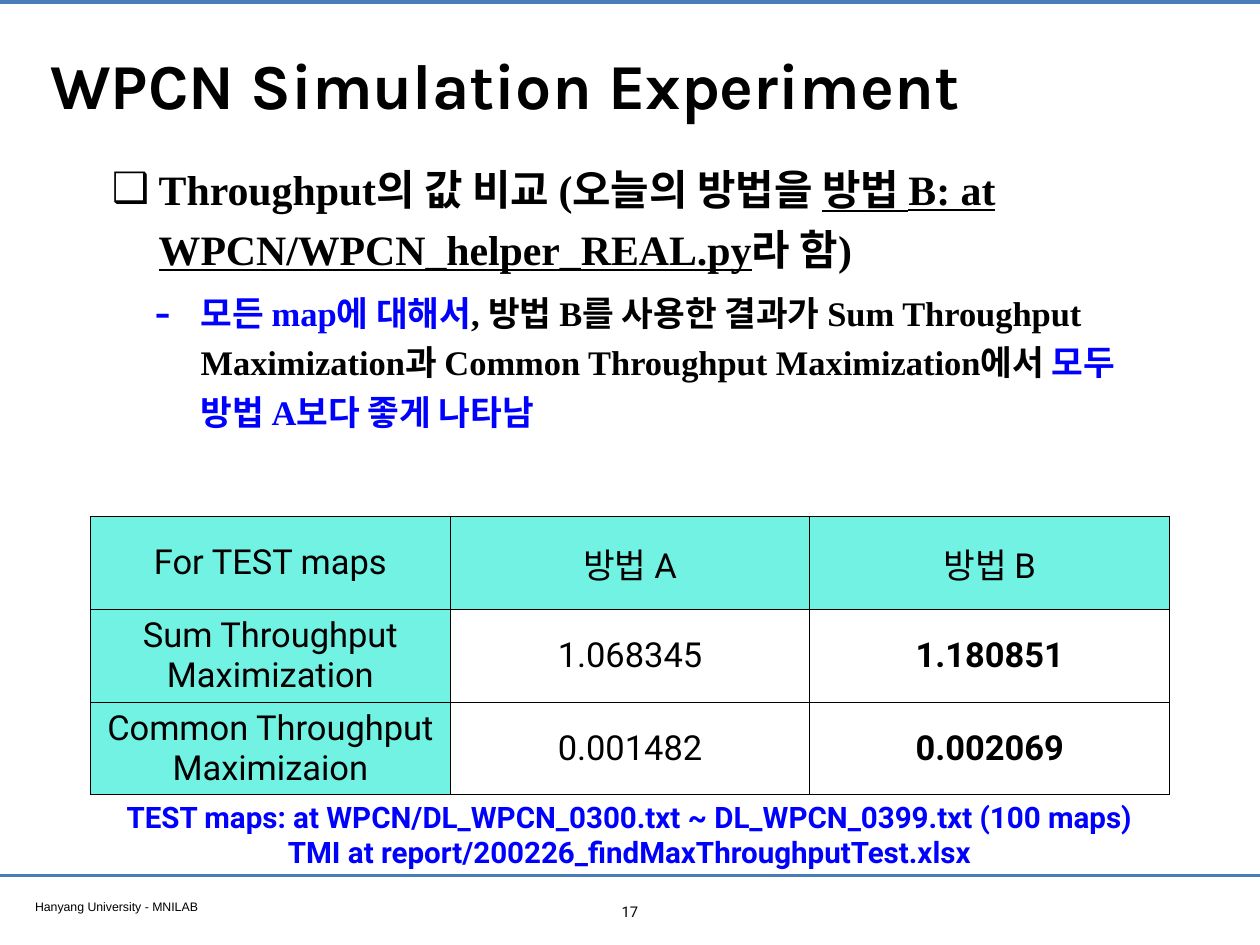
from dataclasses import dataclass

from lxml.etree import SubElement
from pptx import Presentation
from pptx.dml.color import RGBColor
from pptx.enum.shapes import MSO_CONNECTOR as Connector
from pptx.enum.text import MSO_ANCHOR as Anchor, PP_ALIGN as Align
from pptx.oxml import parse_xml
from pptx.oxml.ns import nsdecls, qn
from pptx.util import Pt

WIDTH, HEIGHT = 1024, 768


@dataclass(frozen=True)
class Theme:
    black = RGBColor.from_string("000000")
    blue = RGBColor.from_string("0000FF")
    rule = RGBColor.from_string("4A7EBB")
    header = RGBColor.from_string("72F2E3")
    title_font, body_font = "Karla", "Times New Roman"
    label_font, footer_font = "Roboto", "Arial"
    title_size, point_size, detail_size = 52, 34, 28
    table_size, caption_size, number_size, footer_size = 28, 24, 12, 10


THEME = Theme()


def style(font, name, size, bold=False, color=THEME.black):
    font.name, font.size, font.bold = name, Pt(size), bold
    font.color.rgb = color


def add_text_frame(slide, box, anchor=Anchor.TOP, wrap=True):
    frame = slide.shapes.add_textbox(*map(Pt, box)).text_frame
    frame.word_wrap, frame.vertical_anchor = wrap, anchor
    frame.margin_left = frame.margin_right = Pt(4.5)
    frame.margin_top = frame.margin_bottom = Pt(4.5)
    return frame


def add_label(slide, box, lines, name, size, bold=False, color=THEME.black,
              align=Align.LEFT, anchor=Anchor.TOP, wrap=True):
    """Add a text box in which every line is a paragraph of the same style."""
    frame = add_text_frame(slide, box, anchor, wrap)
    frame.text = "\n".join(lines)
    for paragraph in frame.paragraphs:
        paragraph.alignment = align
        style(paragraph.font, name, size, bold, color)


def add_rule(slide, y, weight):
    line = slide.shapes.add_connector(Connector.STRAIGHT, 0, Pt(y), Pt(WIDTH), Pt(y))
    line.line.color.rgb, line.line.width = THEME.rule, Pt(weight)
    SubElement(line._element.spPr, qn("a:effectLst"))


def set_bullet(paragraph, character, color, percent, left, hanging):
    properties = paragraph._p.get_or_add_pPr()
    properties.set("marL", str(Pt(left)))
    properties.set("indent", str(-Pt(hanging)))
    bullet_color = SubElement(properties, qn("a:buClr"))
    SubElement(bullet_color, qn("a:srgbClr"), val=str(color))
    SubElement(properties, qn("a:buSzPct"), val=str(percent * 1000))
    SubElement(properties, qn("a:buFont"), typeface=THEME.footer_font)
    SubElement(properties, qn("a:buChar"), char=character)


def add_findings(slide, box):
    frame = add_text_frame(slide, box)
    point, detail = frame.paragraphs[0], frame.add_paragraph()
    detail.level, detail.space_before = 1, Pt(8)
    point.line_spacing = detail.line_spacing = 1.2
    set_bullet(point, "❑", THEME.black, 100, 38, 38)
    set_bullet(detail, "-", THEME.blue, 145, 72, 37.5)
    style(point.font, THEME.body_font, THEME.point_size, True)
    style(detail.font, THEME.body_font, THEME.detail_size, True)

    for text, underline in (
        ("Throughput의 값 비교 (오늘의 방법을 ", False),
        ("방법 B: at WPCN/WPCN_helper_REAL.py", True),
        ("라 함)", False),
    ):
        run = point.add_run()
        run.text, run.font.underline = text, underline

    for text, color in (
        ("모든 map에 대해서", THEME.blue),
        (", 방법 B를 사용한 결과가 Sum Throughput Maximization과 "
         "Common Throughput Maximization에서 ", THEME.black),
        ("모두 방법 A보다 좋게 나타남", THEME.blue),
    ):
        run = detail.add_run()
        run.text, run.font.color.rgb = text, color


def set_borders(cell):
    properties = cell._tc.get_or_add_tcPr()
    for index, side in enumerate(("lnL", "lnR", "lnT", "lnB")):
        properties.insert(index, parse_xml(
            f'<a:{side} {nsdecls("a")} w="{Pt(1)}"><a:solidFill>'
            f'<a:srgbClr val="{THEME.black}"/></a:solidFill></a:{side}>'))


def add_results_table(slide, box):
    rows = (
        ("For TEST maps", "방법 A", "방법 B"),
        ("Sum Throughput\nMaximization", "1.068345", "1.180851"),
        ("Common Throughput Maximizaion", "0.001482", "0.002069"),
    )
    table = slide.shapes.add_table(len(rows), len(rows[0]), *map(Pt, box)).table
    table.first_row = table.horz_banding = False
    for row_index, row in enumerate(rows):
        for column_index, text in enumerate(row):
            cell = table.cell(row_index, column_index)
            cell.text, cell.vertical_anchor = text, Anchor.MIDDLE
            if row_index == 0 or column_index == 0:
                cell.fill.solid()
                cell.fill.fore_color.rgb = THEME.header
            else:
                cell.fill.background()
            set_borders(cell)
            best = row_index > 0 and column_index == 2
            for paragraph in cell.text_frame.paragraphs:
                paragraph.alignment = Align.CENTER
                style(paragraph.font, THEME.label_font, THEME.table_size, best)


def add_footer(slide, top):
    add_rule(slide, top, 2)
    add_label(slide, (24, top + 15, 393, 19), ["Hanyang University - MNILAB"],
              THEME.footer_font, THEME.footer_size)
    add_label(slide, (WIDTH / 2 - 14, top + 17.5, 28, 22), ["17"],
              THEME.label_font, THEME.number_size, align=Align.CENTER)


def build_slide(presentation):
    slide = presentation.slides.add_slide(presentation.slide_layouts[6])
    add_rule(slide, 1.5, 3.2)
    add_footer(slide, 711.5)
    add_label(slide, (36.5, 20, 951, 97), ["WPCN Simulation Experiment"],
              THEME.title_font, THEME.title_size, True, anchor=Anchor.MIDDLE)
    add_findings(slide, (86.5, 120, 852.5, 255.5))
    add_results_table(slide, (73.5, 420, 877, 226))
    add_label(slide, (73.5, 645, 876, 66),
              ["TEST maps: at WPCN/DL_WPCN_0300.txt ~ DL_WPCN_0399.txt (100 maps)",
               "TMI at report/200226_findMaxThroughputTest.xlsx"],
              THEME.label_font, THEME.caption_size, True, THEME.blue,
              Align.CENTER, Anchor.MIDDLE, wrap=False)


def main():
    presentation = Presentation()
    presentation.slide_width, presentation.slide_height = Pt(WIDTH), Pt(HEIGHT)
    build_slide(presentation)
    presentation.save("out.pptx")


if __name__ == "__main__":
    main()
